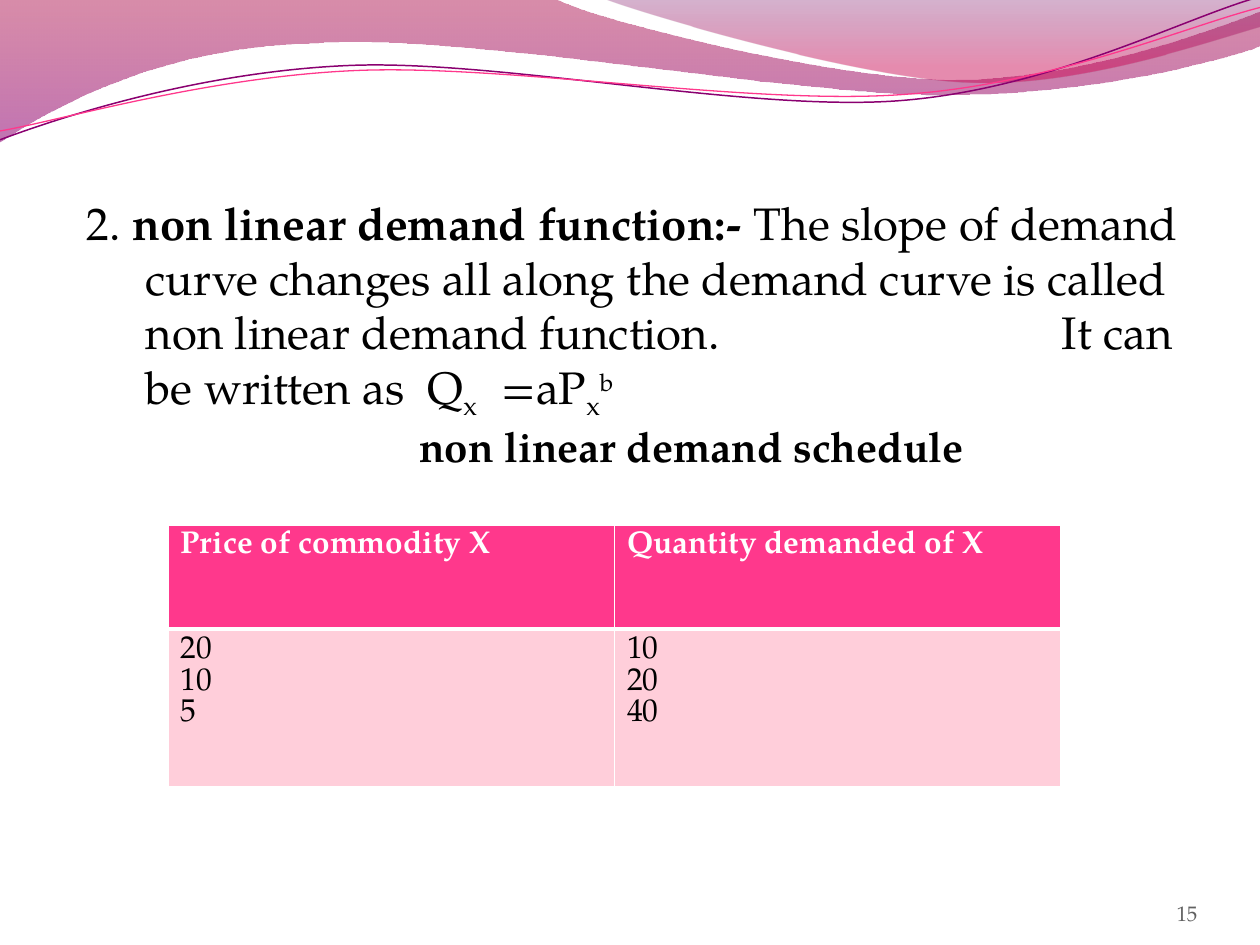
"""Build the slide on the non linear demand function."""
from math import cos, radians, sin
from lxml.etree import SubElement
from pptx import Presentation
from pptx.dml.color import RGBColor
from pptx.enum.text import MSO_ANCHOR, PP_ALIGN
from pptx.oxml.ns import qn
from pptx.util import Cm, Pt

FONT = "TeX Gyre Pagella"
BLACK = RGBColor(0, 0, 0)
WHITE = RGBColor(255, 255, 255)
GREY = RGBColor(0x61, 0x61, 0x61)
PINK = RGBColor(0xFF, 0x38, 0x8C)
PALE_PINK = RGBColor(0xFF, 0xCE, 0xDA)
PURPLE = RGBColor(0x8A, 0x00, 0x70)
CRIMSON = RGBColor(0xA9, 0x00, 0x42)
MAGENTA = RGBColor(0x8E, 0x00, 0x73)
PLUM = RGBColor(0x73, 0x00, 0x5E)
ROSE = RGBColor(0xC9, 0x00, 0x4F)

INCH = 2.54
WAVE_TILT = -2.7

BANDS = [
    {"start": (0, 0),
     "parts": [(4.4, -0.01),
               (4.76, 0.17, 6.64, 0.63, 7.58, 0.63), (8.53, 0.63, 9.58, 0.26, 10, 0.09),
               (10.01, 0.36),
               (9.83, 0.44, 8.7, 0.76, 7.46, 0.75), (6.22, 0.75, 3.82, 0.28, 2.57, 0.34),
               (1.29, 0.36, 0.46, 0.83, -0.01, 1.13), (0, 0)],
     "stops": [(0, CRIMSON, 45), (1, MAGENTA, 55)]},
    {"start": (4.79, -0.01),
     "parts": [(5.09, 0.11, 6.82, 0.62, 7.69, 0.65), (8.56, 0.69, 9.61, 0.32, 10, 0.21),
               (10, 0), (4.79, -0.01)],
     "stops": [(0, PLUM, 30), (0.8, ROSE, 45)]},
]
WAVES = [
    {"start": (0, 1.11), "center": (4.99, 0.575),
     "parts": [(0.48, 0.93, 1.58, 0.57, 2.77, 0.52), (3.95, 0.47, 5.93, 0.89, 7.13, 0.8),
               (8.33, 0.71, 9.38, 0.15, 9.98, -0.02)],
     "color": PURPLE, "width": 0.85},
    {"start": (0, 1.04), "center": (5, 0.59),
     "parts": [(0.47, 0.96, 1.64, 0.61, 2.83, 0.56), (4.03, 0.51, 5.97, 0.84, 7.17, 0.75),
               (8.36, 0.67, 9.41, 0.21, 10, 0.06)],
     "color": PINK, "width": 0.75},
]
DEFINITION = [
    (" 2. ", {}),
    ("non linear demand function:- ", {"bold": True}),
    ("The slope of demand curve changes all along the demand curve is called "
     "non linear demand function.", {}),
    (" ", {"spacing": 188.5}),
    ("It can be written as", {}),
    (" ", {"spacing": 6.5}),
    ("Q", {}),
    ("x", {"baseline": -25}),
    (" ", {"spacing": 7.5}),
    ("=aP", {}),
    ("x", {"baseline": -25}),
    ("b", {"size": 24, "baseline": 30}),
]
CAPTION = [("non linear demand schedule", {"size": 24, "bold": True})]
BODY = [(DEFINITION, 1.42, -1.42), (CAPTION, 6.93, 0)]
SCHEDULE = [
    (["Price of commodity X"], ["Quantity demanded of X"]),
    (["20", "10", "5"], ["10", "20", "40"]),
]
ROW_HEIGHTS = [2.1, 3.18]
ROW_STYLES = [(PINK, WHITE, True, 3, 0.1), (PALE_PINK, BLACK, False, 1, 0.14)]


def add_text(para, text, size=26, bold=False, color=BLACK, baseline=0, spacing=0):
    """Append a formatted span to a paragraph."""
    span = para.add_run()
    span.text = text
    span.font.name = FONT
    span.font.size = Pt(size)
    span.font.bold = bold
    span.font.color.rgb = color
    if baseline:
        span.font._element.set("baseline", str(baseline * 1000))
    if spacing:
        span.font._element.set("spc", str(round(spacing * 100)))


def add_box(page, left, top, width, height):
    """Add a wrapping text box and return its text frame."""
    frame = page.shapes.add_textbox(Cm(left), Cm(top), Cm(width), Cm(height)).text_frame
    frame.word_wrap = True
    return frame


def to_pairs(part):
    """Split a flat tuple into x, y pairs."""
    return list(zip(part[::2], part[1::2]))


def turn(point, center, degrees):
    """Rotate a point around a center."""
    across, down = point[0] - center[0], point[1] - center[1]
    cosine, sine = cos(radians(degrees)), sin(radians(degrees))
    return (center[0] + across * cosine - down * sine,
            center[1] + across * sine + down * cosine)


def add_outline(page, start, parts, close):
    """Draw a freeform whose six-number parts are Bezier curves."""
    segments = [[(Cm(x * INCH), Cm(y * INCH)) for x, y in to_pairs(part)] for part in parts]
    builder = page.shapes.build_freeform(Cm(start[0] * INCH), Cm(start[1] * INCH))
    builder.add_line_segments([segment[-1] for segment in segments], close=close)
    shape = builder.convert_to_shape()
    shape.shadow.inherit = False
    lines = shape._element.spPr.findall(".//" + qn("a:lnTo"))
    for line, segment in zip(lines, segments):
        if len(segment) == 3:
            line.tag = qn("a:cubicBezTo")
            for index, (x, y) in enumerate(segment[:2]):
                control = SubElement(line, qn("a:pt"), x=str(x - shape.left), y=str(y - shape.top))
                line.insert(index, control)
    return shape


def add_band(page, start, parts, stops):
    """Draw a see-through band with a downward gradient."""
    band = add_outline(page, start, parts, True)
    band.line.fill.background()
    band.fill.gradient()
    band.fill.gradient_angle = 270
    for stop, (position, color, _) in zip(band.fill.gradient_stops, stops):
        stop.position = position
        stop.color.rgb = color
    colors = band._element.spPr.findall(".//" + qn("a:srgbClr"))
    for element, (_, _, opacity) in zip(colors, stops):
        SubElement(element, qn("a:alpha")).set("val", str(opacity * 1000))


def add_wave(page, start, center, parts, color, width):
    """Draw an open wavy line, level at first and then tilted."""
    level = [[number for point in to_pairs(part) for number in turn(point, center, -WAVE_TILT)]
             for part in parts]
    wave = add_outline(page, turn(start, center, -WAVE_TILT), level, False)
    middle = ((wave.left + wave.width / 2) / Cm(INCH), (wave.top + wave.height / 2) / Cm(INCH))
    target = turn(middle, center, WAVE_TILT)
    wave.left += Cm((target[0] - middle[0]) * INCH)
    wave.top += Cm((target[1] - middle[1]) * INCH)
    wave.rotation = WAVE_TILT
    wave.fill.background()
    wave.line.color.rgb = color
    wave.line.width = Pt(width)


def set_borders(cell, bottom):
    """Give a cell white borders, placed ahead of its fill."""
    properties = cell._tc.get_or_add_tcPr()
    for index, (side, width) in enumerate([("L", 1), ("R", 1), ("T", 1), ("B", bottom)]):
        line = SubElement(properties, qn("a:ln" + side), w=str(Pt(width)))
        fill = SubElement(line, qn("a:solidFill"))
        SubElement(fill, qn("a:srgbClr"), val=str(WHITE))
        properties.insert(index, line)


def add_schedule(page):
    """Add the demand schedule table."""
    table = page.shapes.add_table(2, 2, Cm(3.39), Cm(10.58), Cm(18), Cm(sum(ROW_HEIGHTS))).table
    for row, height, texts, style in zip(table.rows, ROW_HEIGHTS, SCHEDULE, ROW_STYLES):
        row.height = Cm(height)
        fill, color, bold, bottom, margin = style
        for cell, lines in zip(row.cells, texts):
            cell.fill.solid()
            cell.fill.fore_color.rgb = fill
            cell.margin_top = Cm(margin)
            set_borders(cell, bottom)
            for index, text in enumerate(lines):
                frame = cell.text_frame
                para = frame.add_paragraph() if index else frame.paragraphs[0]
                para.line_spacing = Pt(18)
                add_text(para, text, size=18, bold=bold, color=color)


def main():
    """Assemble and save the deck."""
    deck = Presentation()
    deck.slide_width, deck.slide_height = Cm(25.4), Cm(19.05)
    page = deck.slides.add_slide(deck.slide_layouts[6])
    for band in BANDS:
        add_band(page, **band)
    for wave in WAVES:
        add_wave(page, **wave)

    frame = add_box(page, 1.27, 3.81, 22.86, 13.77)
    for index, (spans, margin, indent) in enumerate(BODY):
        para = frame.add_paragraph() if index else frame.paragraphs[0]
        properties = para._p.get_or_add_pPr()
        properties.set("marL", str(Cm(margin)))
        properties.set("indent", str(Cm(indent)))
        for text, style in spans:
            add_text(para, text, **style)

    add_schedule(page)

    frame = add_box(page, 22.02, 17.65, 2.12, 1.02)
    frame.margin_left = frame.margin_right = frame.margin_top = frame.margin_bottom = 0
    frame.vertical_anchor = MSO_ANCHOR.BOTTOM
    frame.paragraphs[0].alignment = PP_ALIGN.RIGHT
    add_text(frame.paragraphs[0], "15", size=12, color=GREY)
    deck.save("out.pptx")


if __name__ == "__main__":
    main()
